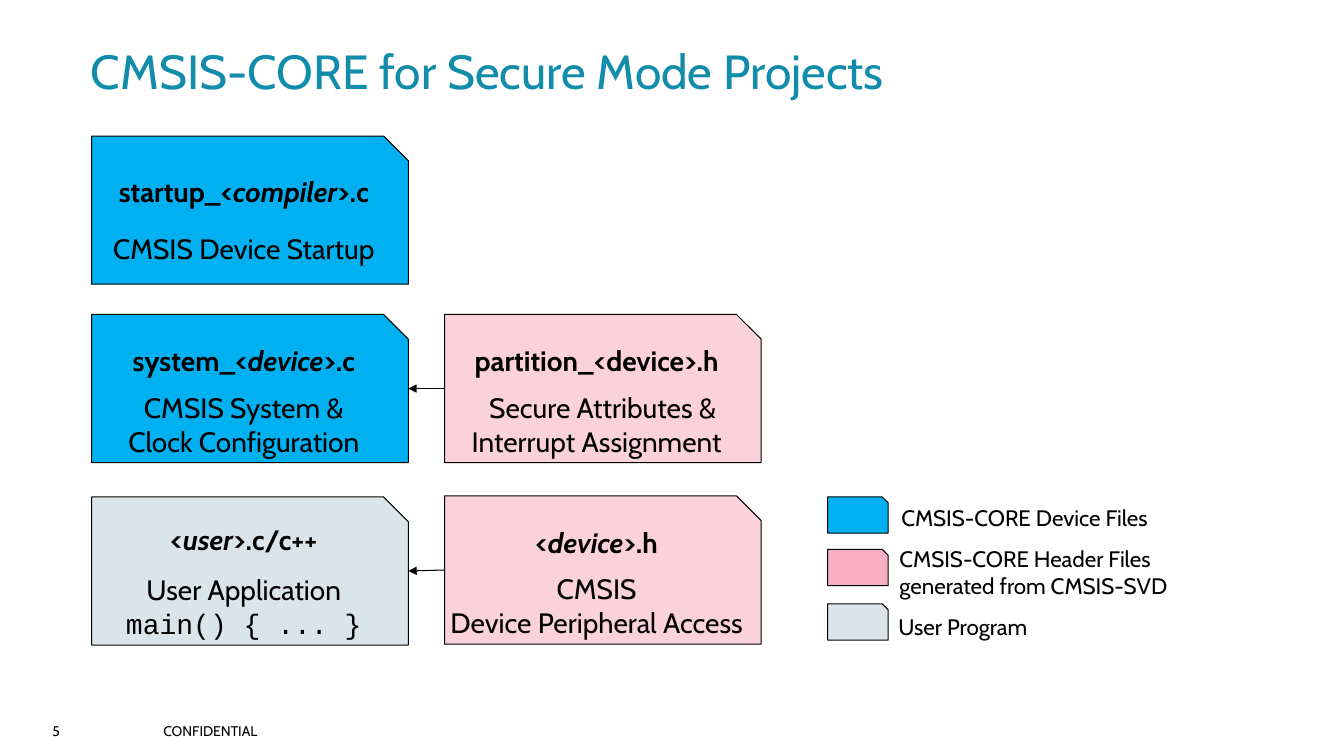
"""Build the slide on CMSIS-CORE files for secure mode projects."""
from dataclasses import dataclass

import lxml.etree
import pptx
import pptx.dml.color
import pptx.enum.shapes
import pptx.enum.text
import pptx.oxml.ns
import pptx.util

EMU_PER_PX = 9144
ALIGN = pptx.enum.text.PP_ALIGN
ANCHOR = pptx.enum.text.MSO_ANCHOR


@dataclass(frozen=True)
class Theme:
    font: str = "Cabin"
    code_font: str = "Courier New"
    title: str = "128CAB"
    ink: str = "000000"
    device: str = "00B0F0"
    header: str = "FBD1DC"
    header_key: str = "F8A2B9"
    user: str = "B5CDD8"
    title_size: float = 34.2
    card_size: float = 20
    legend_size: float = 16
    footer_size: float = 10
    outline: float = 0.75


THEME = Theme()


@dataclass(frozen=True)
class Run:
    text: str
    bold: bool = False
    italic: bool = False
    font: str = THEME.font


@dataclass(frozen=True)
class Line:
    runs: tuple[Run, ...]
    gap: float = 0
    indent: int = 0


@dataclass(frozen=True)
class Box:
    left: int
    top: int
    width: int
    height: int


@dataclass(frozen=True)
class Card:
    box: Box
    fill: str
    lines: tuple[Line, ...]
    opacity: int = 100
    bottom_inset: int = 5


@dataclass(frozen=True)
class Key:
    swatch_top: int
    fill: str
    opacity: int
    label: Box
    lines: tuple[str, ...]


def px(length: int) -> pptx.util.Emu:
    """Turn px into EMU."""
    return pptx.util.Emu(length * EMU_PER_PX)


def place(box: Box) -> tuple[pptx.util.Emu, ...]:
    """Give left, top, width and height in EMU."""
    return px(box.left), px(box.top), px(box.width), px(box.height)


def rgb(colour: str) -> pptx.dml.color.RGBColor:
    """Read a hex colour."""
    return pptx.dml.color.RGBColor.from_string(colour)


def plain(text: str) -> Line:
    """Make a line of one regular run."""
    return Line((Run(text),))


def heading(before: str, name: str, after: str, gap: float, italic: bool = True) -> Line:
    """Make a bold file name with its variable part set apart."""
    return Line((Run(before, True), Run(name, True, italic), Run(after, True)), gap)


def write(frame, lines: tuple[Line, ...], size: float, colour: str = THEME.ink,
          align=ALIGN.LEFT) -> None:
    """Fill a text frame line by line and run by run."""
    for index, line in enumerate(lines):
        paragraph = frame.add_paragraph() if index else frame.paragraphs[0]
        paragraph.alignment = align
        paragraph.space_after = pptx.util.Pt(line.gap)
        if line.indent:
            paragraph._p.get_or_add_pPr().set("marL", str(px(line.indent)))
        for part in line.runs:
            run = paragraph.add_run()
            run.text = part.text
            run.font.name = part.font
            run.font.size = pptx.util.Pt(size)
            run.font.bold = part.bold
            run.font.italic = part.italic
            run.font.color.rgb = rgb(colour)


def set_insets(frame, left: int, top: int, right: int, bottom: int) -> None:
    """Set the four inner margins of a text frame."""
    frame.margin_left, frame.margin_top = px(left), px(top)
    frame.margin_right, frame.margin_bottom = px(right), px(bottom)


def add_file_shape(slide, box: Box, fill: str, opacity: int):
    """Draw an outlined file shape with a snipped corner."""
    sheet = slide.shapes.add_shape(
        pptx.enum.shapes.MSO_SHAPE.SNIP_1_RECTANGLE, *place(box))
    sheet.shadow.inherit = False
    sheet.fill.solid()
    sheet.fill.fore_color.rgb = rgb(fill)
    if opacity < 100:
        colour = sheet._element.spPr.find(".//" + pptx.oxml.ns.qn("a:srgbClr"))
        lxml.etree.SubElement(
            colour, pptx.oxml.ns.qn("a:alpha"), val=str(opacity * 1000))
    sheet.line.color.rgb = rgb(THEME.ink)
    sheet.line.width = pptx.util.Pt(THEME.outline)
    return sheet


def add_card(slide, card: Card):
    """Draw one file with its name and purpose."""
    sheet = add_file_shape(slide, card.box, card.fill, card.opacity)
    frame = sheet.text_frame
    frame.word_wrap = False
    frame.vertical_anchor = ANCHOR.BOTTOM
    set_insets(frame, 10, 5, 10, card.bottom_inset)
    write(frame, card.lines, THEME.card_size, align=ALIGN.CENTER)
    return sheet


def add_label(slide, box: Box, lines: tuple[str, ...], size: float,
              insets: tuple[int, int, int, int]) -> None:
    """Add plain text in a wrapping box."""
    frame = slide.shapes.add_textbox(*place(box)).text_frame
    frame.word_wrap = True
    set_insets(frame, *insets)
    write(frame, tuple(plain(text) for text in lines), size)


def add_include(slide, header, source) -> None:
    """Draw an arrow from a header file to the source that uses it."""
    arrow = slide.shapes.add_connector(
        pptx.enum.shapes.MSO_CONNECTOR.STRAIGHT, 0, 0, 0, 0)
    arrow.begin_connect(header, 1)
    arrow.end_connect(source, 3)
    arrow.line.color.rgb = rgb(THEME.ink)
    arrow.line.width = pptx.util.Pt(THEME.outline)
    properties = arrow._element.spPr
    outline = properties.find(pptx.oxml.ns.qn("a:ln"))
    lxml.etree.SubElement(outline, pptx.oxml.ns.qn("a:tailEnd"), type="triangle")
    lxml.etree.SubElement(properties, pptx.oxml.ns.qn("a:effectLst"))


def card_box(left: int, top: int) -> Box:
    """Give a card of the common size."""
    return Box(left, top, 314, 147)


SOURCES, HEADERS = 91, 441
CARDS = {
    "startup": Card(card_box(SOURCES, 135), THEME.device, (
        heading("startup_<", "compiler", ">.c", 17),
        plain("CMSIS Device Startup")), bottom_inset=19),
    "system": Card(card_box(SOURCES, 312), THEME.device, (
        heading("system_<", "device", ">.c", 9.5),
        plain("CMSIS System &"), plain("Clock Configuration"))),
    "user": Card(card_box(SOURCES, 493), THEME.user, (
        heading("<", "user", ">.c/c++", 12), plain("User Application"),
        Line((Run("main() { ... }", font=THEME.code_font),))), opacity=50),
    "device": Card(card_box(HEADERS, 492), THEME.header, (
        heading("<", "device", ">.h", 9.5),
        plain("CMSIS"), plain("Device Peripheral Access"))),
    "partition": Card(card_box(HEADERS, 312), THEME.header, (
        heading("partition_<", "device", ">.h", 9.5, italic=False),
        Line((Run("Secure Attributes &"),), indent=12),
        plain("Interrupt Assignment"))),
}
INCLUDES = (("partition", "system"), ("device", "user"))
LEGEND = (
    Key(493, THEME.device, 100, Box(881, 493, 387, 40), ("CMSIS-CORE Device Files",)),
    Key(545, THEME.header_key, 85, Box(879, 534, 389, 67),
        ("CMSIS-CORE Header Files", "generated from CMSIS-SVD")),
    Key(599, THEME.user, 50, Box(878, 601, 304, 40), ("User Program",)),
)
FOOTER = ((52, "5"), (162, "CONFIDENTIAL"))


def main() -> None:
    """Build and save the slide."""
    deck = pptx.Presentation()
    deck.slide_width, deck.slide_height = px(1333), px(750)
    slide = deck.slides.add_slide(deck.slide_layouts[5])
    title = slide.shapes.title
    title.left, title.top, title.width, title.height = place(Box(90, 39, 1108, 61))
    title.text_frame.auto_size = pptx.enum.text.MSO_AUTO_SIZE.NONE
    title.text_frame.vertical_anchor = ANCHOR.MIDDLE
    set_insets(title.text_frame, 0, 0, 0, 0)
    write(title.text_frame, (plain("CMSIS-CORE for Secure Mode Projects"),),
          THEME.title_size, THEME.title)
    files = {name: add_card(slide, card) for name, card in CARDS.items()}
    for header, source in INCLUDES:
        add_include(slide, files[header], files[source])
    for key in LEGEND:
        add_file_shape(slide, Box(821, key.swatch_top, 60, 36), key.fill, key.opacity)
        add_label(slide, key.label, key.lines, THEME.legend_size, (13, 7, 13, 7))
    for left, text in FOOTER:
        add_label(slide, Box(left, 717, 143, 26), (text,), THEME.footer_size, (0, 0, 10, 0))
    deck.save("out.pptx")


if __name__ == "__main__":
    main()
